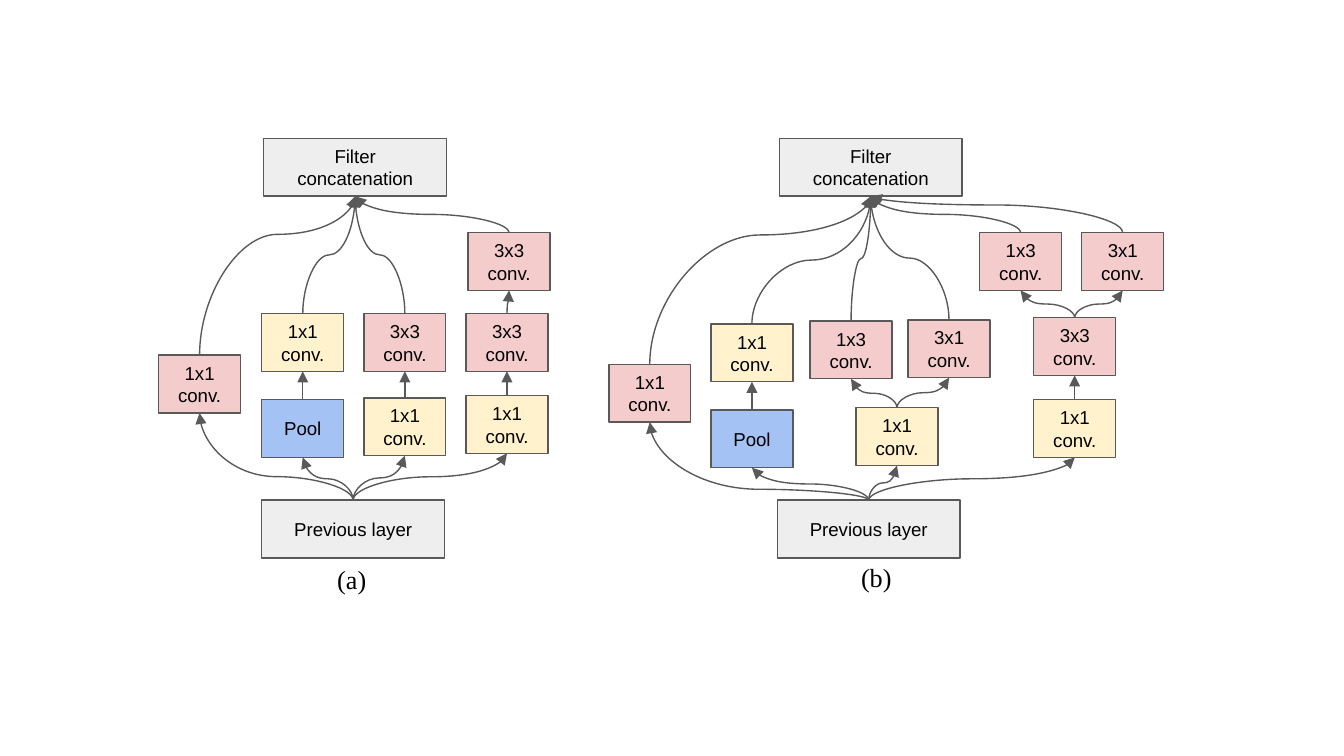
"""Two inception modules side by side: layers as blocks, data flow as curved arrows."""
from lxml.etree import SubElement
from pptx import Presentation
from pptx.dml.color import RGBColor
from pptx.enum.shapes import MSO_CONNECTOR as Connector, MSO_SHAPE as Shape
from pptx.enum.text import MSO_ANCHOR as Anchor, PP_ALIGN as Align
from pptx.oxml.ns import qn
from pptx.util import Inches, Pt

GRAY = RGBColor(0xEE, 0xEE, 0xEE)
PINK = RGBColor(0xF4, 0xCC, 0xCC)
CREAM = RGBColor(0xFF, 0xF2, 0xCC)
BLUE = RGBColor(0xA4, 0xC2, 0xF4)
OUTLINE = RGBColor(0x59, 0x59, 0x59)
BLACK = RGBColor(0, 0, 0)

TOP, COLUMN, ROW = Inches(1.03), Inches(0.76), Inches(0.43)
LAYER_WIDTH, BLOCK_WIDTH = Inches(1.36), Inches(0.61)
INSET = Inches(0.1)

MODULES = [
    {
        "left": Inches(1.18), "caption": "(a)", "caption_at": (1.62, 7.12),
        "blocks": {
            "previous": ("Previous layer", GRAY, 1.01, 6.26),
            "filter": ("Filter concatenation", GRAY, 1.03, 0),
            "single": ("1x1 conv.", PINK, 0, 3.75),
            "pool": ("Pool", BLUE, 1.01, 4.52),
            "pool conv": ("1x1 conv.", CREAM, 1.01, 3.03),
            "reduce": ("1x1 conv.", CREAM, 2.01, 4.49),
            "conv": ("3x3 conv.", PINK, 2.01, 3.03),
            "deep reduce": ("1x1 conv.", CREAM, 3.01, 4.45),
            "deep conv": ("3x3 conv.", PINK, 3.01, 3.03),
            "deep conv 2": ("3x3 conv.", PINK, 3.03, 1.63),
        },
        "flows": [
            ("previous", "single", 0.27), ("previous", "pool", 0.5),
            ("previous", "reduce", 0.5), ("previous", "deep reduce", 0.5),
            ("pool", "pool conv", 0.5), ("reduce", "conv", 0.5),
            ("deep reduce", "deep conv", 0.5), ("deep conv", "deep conv 2", 0.5),
            ("single", "filter", 0.76), ("pool conv", "filter", 0.5),
            ("conv", "filter", 0.5), ("deep conv 2", "filter", 0.5),
        ],
    },
    {
        "left": Inches(4.53), "caption": "(b)", "caption_at": (2.34, 7.09),
        "blocks": {
            "previous": ("Previous layer", GRAY, 1.65, 6.26),
            "filter": ("Filter concatenation", GRAY, 1.67, 0),
            "single": ("1x1 conv.", PINK, 0, 3.91),
            "pool": ("Pool", BLUE, 1, 4.7),
            "pool conv": ("1x1 conv.", CREAM, 1, 3.21),
            "reduce": ("1x1 conv.", CREAM, 2.42, 4.66),
            "wide": ("1x3 conv.", PINK, 1.97, 3.16),
            "tall": ("3x1 conv.", PINK, 2.93, 3.14),
            "deep reduce": ("1x1 conv.", CREAM, 4.16, 4.52),
            "deep conv": ("3x3 conv.", PINK, 4.16, 3.1),
            "deep wide": ("1x3 conv.", PINK, 3.63, 1.63),
            "deep tall": ("3x1 conv.", PINK, 4.63, 1.63),
        },
        "flows": [
            ("previous", "single", 0.14), ("previous", "pool", 0.5),
            ("previous", "reduce", 0.5), ("previous", "deep reduce", 0.5),
            ("pool", "pool conv", 0.5), ("reduce", "wide", 0.5),
            ("reduce", "tall", 0.5), ("deep reduce", "deep conv", 0.5),
            ("deep conv", "deep wide", 0.5), ("deep conv", "deep tall", 0.5),
            ("single", "filter", 0.77), ("pool conv", "filter", 0.5),
            ("wide", "filter", 0.5), ("tall", "filter", 0.5),
            ("deep wide", "filter", 0.5), ("deep tall", "filter", 0.76),
        ],
    },
]


def write(frame, text, font_name, size):
    frame.margin_left = frame.margin_right = INSET
    frame.margin_top = frame.margin_bottom = INSET
    frame.word_wrap = True
    frame.text = text
    font = frame.paragraphs[0].runs[0].font
    font.name, font.size, font.color.rgb = font_name, Pt(size), BLACK


def add_flow(source, target, bend):
    flow = slide.shapes.add_connector(Connector.CURVE, 0, 0, 0, 0)
    flow.begin_connect(source, 0)
    flow.end_connect(target, 2)
    run, rise = flow.end_x - flow.begin_x, flow.begin_y - flow.end_y
    middle_x = (flow.begin_x + flow.end_x) // 2
    middle_y = (flow.begin_y + flow.end_y) // 2
    flow.width, flow.height = rise, abs(run)
    flow.left, flow.top = middle_x - rise // 2, middle_y - abs(run) // 2
    properties = flow._element.spPr
    frame = properties.find(qn("a:xfrm"))
    for flip in ("flipH", "flipV"):
        frame.attrib.pop(flip, None)
    frame.set("rot", str((90 if run < 0 else 270) * 60000))
    if run < 0:
        frame.set("flipH", "1")
    guides = properties.find(qn("a:prstGeom")).get_or_add_avLst()
    SubElement(guides, qn("a:gd"), name="adj1", fmla=f"val {round(bend * 100000)}")
    flow.line.color.rgb, flow.line.width = OUTLINE, Pt(0.75)
    SubElement(flow.line._get_or_add_ln(), qn("a:tailEnd"), type="triangle", w="med", len="med")
    SubElement(properties, qn("a:effectLst"))


deck = Presentation()
deck.slide_width = Inches(10)
deck.slide_height = deck.slide_width * 9 // 16
slide = deck.slides.add_slide(deck.slide_layouts[6])

for module in MODULES:
    left = module["left"]
    blocks = {}
    for key, (label, color, column, row) in module["blocks"].items():
        width = LAYER_WIDTH if color == GRAY else BLOCK_WIDTH
        block = slide.shapes.add_shape(
            Shape.RECTANGLE, round(left + column * COLUMN), round(TOP + row * ROW), width, ROW)
        block.shadow.inherit = False
        block.fill.solid()
        block.fill.fore_color.rgb = color
        block.line.color.rgb, block.line.width = OUTLINE, Pt(0.75)
        write(block.text_frame, label, "Arial", 10)
        block.text_frame.vertical_anchor = Anchor.MIDDLE
        block.text_frame.paragraphs[0].alignment = Align.CENTER
        blocks[key] = block

    for source, target, bend in module["flows"]:
        add_flow(blocks[source], blocks[target], bend)

    column, row = module["caption_at"]
    caption = slide.shapes.add_textbox(
        round(left + column * COLUMN), round(TOP + row * ROW), Inches(0.47), Inches(0.51))
    write(caption.text_frame, module["caption"], "Times New Roman", 14)

deck.save("out.pptx")
